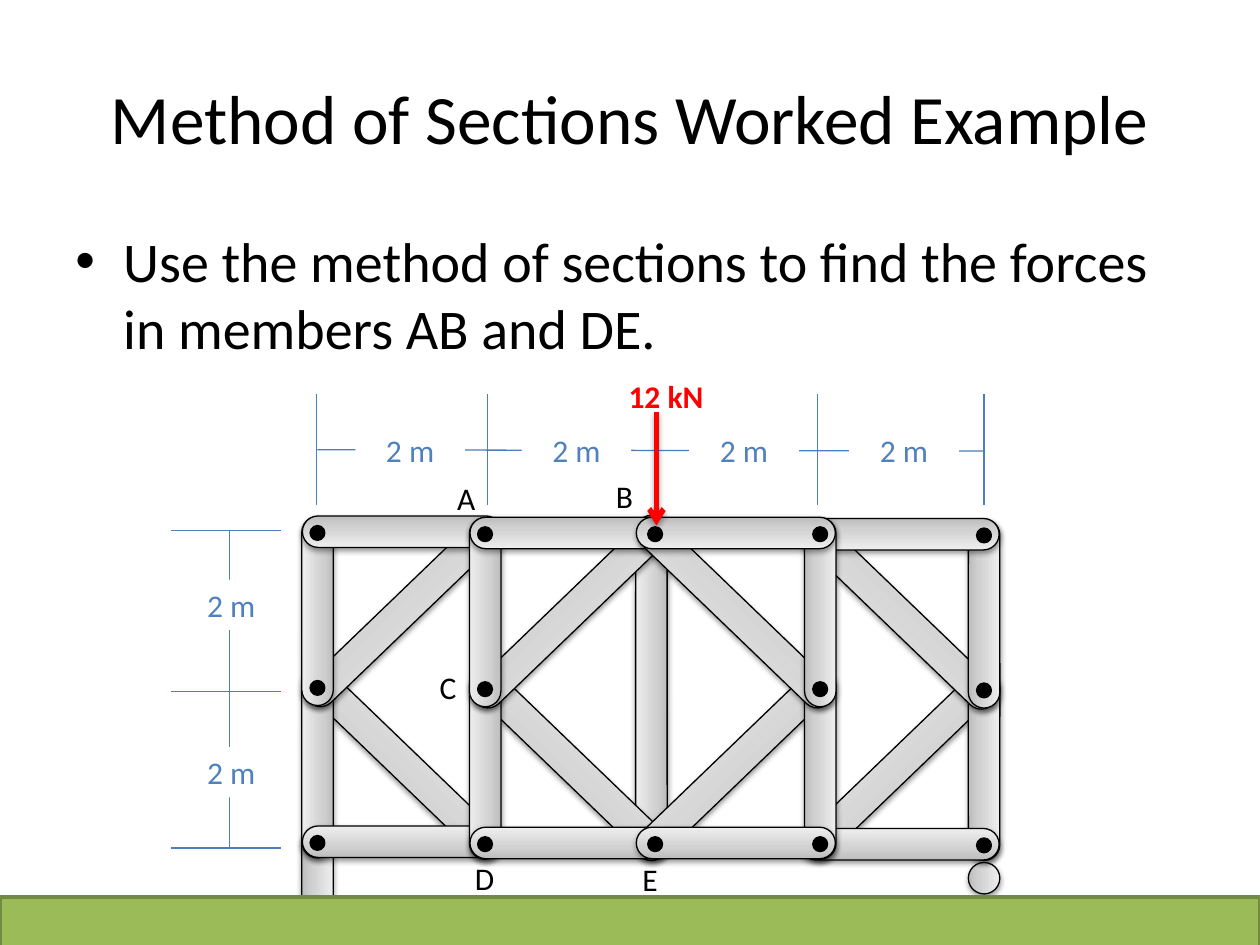
from dataclasses import dataclass

from lxml import etree
from pptx import Presentation
from pptx import util as u
from pptx.dml.color import RGBColor
from pptx.enum import shapes, text
from pptx.oxml import parse_xml
from pptx.oxml.ns import nsdecls, qn


@dataclass(frozen=True)
class Theme:
    font: str = "Calibri"
    ink: str = "000000"
    paper: str = "FFFFFF"
    load: str = "FF0000"
    dimension: str = "4F81BD"
    dimension_line: str = "4B7EBC"
    ground: str = "9BBB59"
    ground_line: str = "738A42"
    steel: tuple = ((0, "BDBDBD"), (35, "D1D1D1"), (100, "EEEEEE"))
    title_size: float = 39.6
    body_size: int = 32
    label_size: int = 18
    thin: float = 0.75


THICKNESS = 0.25
CHORD = 1.58
DIAGONAL = 2.02
VERTICAL = 1.5
TILT = 43.9
PIN = 0.1


class TrussSlide:
    def __init__(self, presentation, theme):
        self.theme = theme
        self.slide = presentation.slides.add_slide(presentation.slide_layouts[5])
        self.target = self.slide.shapes

    def add_words(self, frame, content, size, color, bold=False, align=None):
        paragraph = frame.paragraphs[0]
        paragraph.alignment = align
        run = paragraph.add_run()
        run.text = content
        run.font.name = self.theme.font
        run.font.size = u.Pt(size)
        run.font.bold = bold
        run.font.color.rgb = RGBColor.from_string(color)
        return paragraph

    def title(self, content, box):
        shape = self.slide.shapes.title
        shape.left, shape.top, shape.width, shape.height = map(u.Inches, box)
        shape.text_frame.vertical_anchor = text.MSO_ANCHOR.MIDDLE
        self.add_words(shape.text_frame, content, self.theme.title_size,
                       self.theme.ink, align=text.PP_ALIGN.CENTER)

    def bullet(self, content, box):
        shape = self.slide.shapes.add_textbox(*map(u.Inches, box))
        shape.text_frame.word_wrap = True
        paragraph = self.add_words(shape.text_frame, content,
                                   self.theme.body_size, self.theme.ink)
        properties = paragraph._p.get_or_add_pPr()
        properties.set("marL", str(u.Inches(0.38)))
        properties.set("indent", str(u.Inches(-0.38)))
        etree.SubElement(properties, qn("a:buFont")).set("typeface", "Arial")
        etree.SubElement(properties, qn("a:buChar")).set("char", "•")

    def label(self, content, left, top, width, color=None, bold=False):
        shape = self.slide.shapes.add_textbox(*map(u.Inches, (left, top, width, 0.4)))
        shape.text_frame.word_wrap = False
        self.add_words(shape.text_frame, content, self.theme.label_size,
                       color or self.theme.ink, bold)

    def dimension(self, content, left, top):
        shape = self.slide.shapes.add_textbox(*map(u.Inches, (left, top, 0.87, 0.4)))
        shape.fill.solid()
        shape.fill.fore_color.rgb = RGBColor.from_string(self.theme.paper)
        shape.text_frame.word_wrap = True
        self.add_words(shape.text_frame, content, self.theme.label_size,
                       self.theme.dimension, align=text.PP_ALIGN.CENTER)

    def shadow(self, shape, opacity, distance):
        shape._element.spPr.append(parse_xml(
            f'<a:effectLst {nsdecls("a")}><a:outerShdw blurRad="40000" '
            f'dist="{distance}" dir="5400000" rotWithShape="0">'
            f'<a:srgbClr val="{self.theme.ink}"><a:alpha val="{opacity * 1000}"/>'
            '</a:srgbClr></a:outerShdw></a:effectLst>'))

    def line(self, start, end, color=None, width=None):
        connector = self.slide.shapes.add_connector(
            shapes.MSO_CONNECTOR.STRAIGHT, *map(u.Inches, (*start, *end)))
        connector.line.color.rgb = RGBColor.from_string(
            color or self.theme.dimension_line)
        connector.line.width = u.Pt(width or self.theme.thin)
        if color is None:
            etree.SubElement(connector._element.spPr, qn("a:effectLst"))
        return connector

    def load_arrow(self, start, end):
        connector = self.line(start, end, self.theme.load, 3)
        tail = etree.SubElement(connector.get_or_add_ln(), qn("a:tailEnd"))
        tail.set("type", "arrow")
        self.shadow(connector, 35, 23000)

    def solid(self, kind, box, fill, line):
        shape = self.target.add_shape(kind, *map(u.Inches, box))
        shape.shadow.inherit = False
        shape.fill.solid()
        shape.fill.fore_color.rgb = RGBColor.from_string(fill)
        shape.line.color.rgb = RGBColor.from_string(line)
        shape.line.width = u.Pt(2)

    def pin(self, x, y):
        self.solid(shapes.MSO_SHAPE.OVAL, (x - PIN / 2, y - PIN / 2, PIN, PIN),
                   self.theme.ink, self.theme.ink)

    def member(self, x, y, length, rotation=0, flip_h=False, flip_v=False):
        box = (x - length / 2, y - THICKNESS / 2, length, THICKNESS)
        shape = self.target.add_shape(shapes.MSO_SHAPE.ROUNDED_RECTANGLE,
                                      *map(u.Inches, box))
        shape.adjustments[0] = 0.5
        shape.rotation = rotation
        properties = shape._element.spPr
        for name, flipped in (("flipH", flip_h), ("flipV", flip_v)):
            if flipped:
                properties.xfrm.set(name, "1")
        stops = "".join(f'<a:gs pos="{position * 1000}"><a:srgbClr val="{color}"/></a:gs>'
                        for position, color in self.theme.steel)
        properties.append(parse_xml(
            f'<a:gradFill {nsdecls("a")} rotWithShape="1"><a:gsLst>{stops}</a:gsLst>'
            '<a:lin ang="16200000" scaled="1"/></a:gradFill>'))
        shape.line.color.rgb = RGBColor.from_string(self.theme.ink)
        shape.line.width = u.Pt(self.theme.thin)
        self.shadow(shape, 38, 20000)

    def bay(self, x, y, mirrored=False):
        side = -1 if mirrored else 1
        self.target = self.slide.shapes.add_group_shape().shapes
        for level, diagonal, vertical, chord in ((1, 0.58, 0.6, 1.22),
                                                 (-1, 0.59, 0.61, 1.24)):
            upper = level < 0
            turn = side * level
            self.member(x + side * 0.66, y + level * diagonal, DIAGONAL,
                        turn * TILT % 360, mirrored, upper)
            self.member(x, y + level * vertical, VERTICAL,
                        -turn * 90 % 360, not mirrored, upper)
            self.member(x + side * 0.67, y + level * chord, CHORD, 0,
                        not mirrored, upper)
            self.pin(x, y + level * 1.23)
            self.pin(x + side * 1.31, y + level * 1.23)
        self.pin(x, y)
        self.target = self.slide.shapes


def main():
    presentation = Presentation()
    presentation.slide_width = u.Inches(10)
    presentation.slide_height = u.Inches(7.5)
    theme = Theme()
    truss = TrussSlide(presentation, theme)

    truss.line((7.81, 3.58), (2.52, 3.57))
    truss.member(7.81, 6.97, THICKNESS, 90)
    truss.member(5.17, 5.46, 2.74, 270)
    truss.title("Method of Sections Worked Example", (0.5, 0.3, 9, 1.25))
    truss.bullet("Use the method of sections to find the forces in members AB and DE.",
                 (0.5, 1.75, 9, 1.08))
    truss.member(2.52, 7.04, 0.92, 90)
    truss.label("12 kN", 4.89, 2.94, 0.8, theme.load, bold=True)

    for x, y, mirrored in ((2.52, 5.46, False), (3.85, 5.47, False),
                           (7.81, 5.48, True), (6.51, 5.47, True)):
        truss.bay(x, y, mirrored)

    truss.solid(shapes.MSO_SHAPE.RECTANGLE, (0, 7.12, 10, 0.77),
                theme.ground, theme.ground_line)
    truss.load_arrow((5.21, 3.27), (5.21, 4.17))

    for y in (4.21, 5.49, 6.73):
        truss.line((1.36, y), (2.23, y))
    for x in (2.51, 3.87, 6.49, 7.81):
        truss.line((x, 3.13), (x, 4.01))
    truss.line((1.82, 4.21), (1.82, 6.74))
    for left, top in ((1.4, 4.6), (1.4, 5.93), (2.82, 3.37),
                      (4.14, 3.37), (5.47, 3.37), (6.74, 3.37)):
        truss.dimension("2 m", left, top)

    for joint, left, top, width in (("A", 3.53, 3.75, 0.35), ("B", 4.79, 3.74, 0.34),
                                    ("C", 3.39, 5.25, 0.34), ("D", 3.67, 6.77, 0.36),
                                    ("E", 5, 6.78, 0.32)):
        truss.label(joint, left, top, width)

    presentation.save("out.pptx")


if __name__ == "__main__":
    main()
